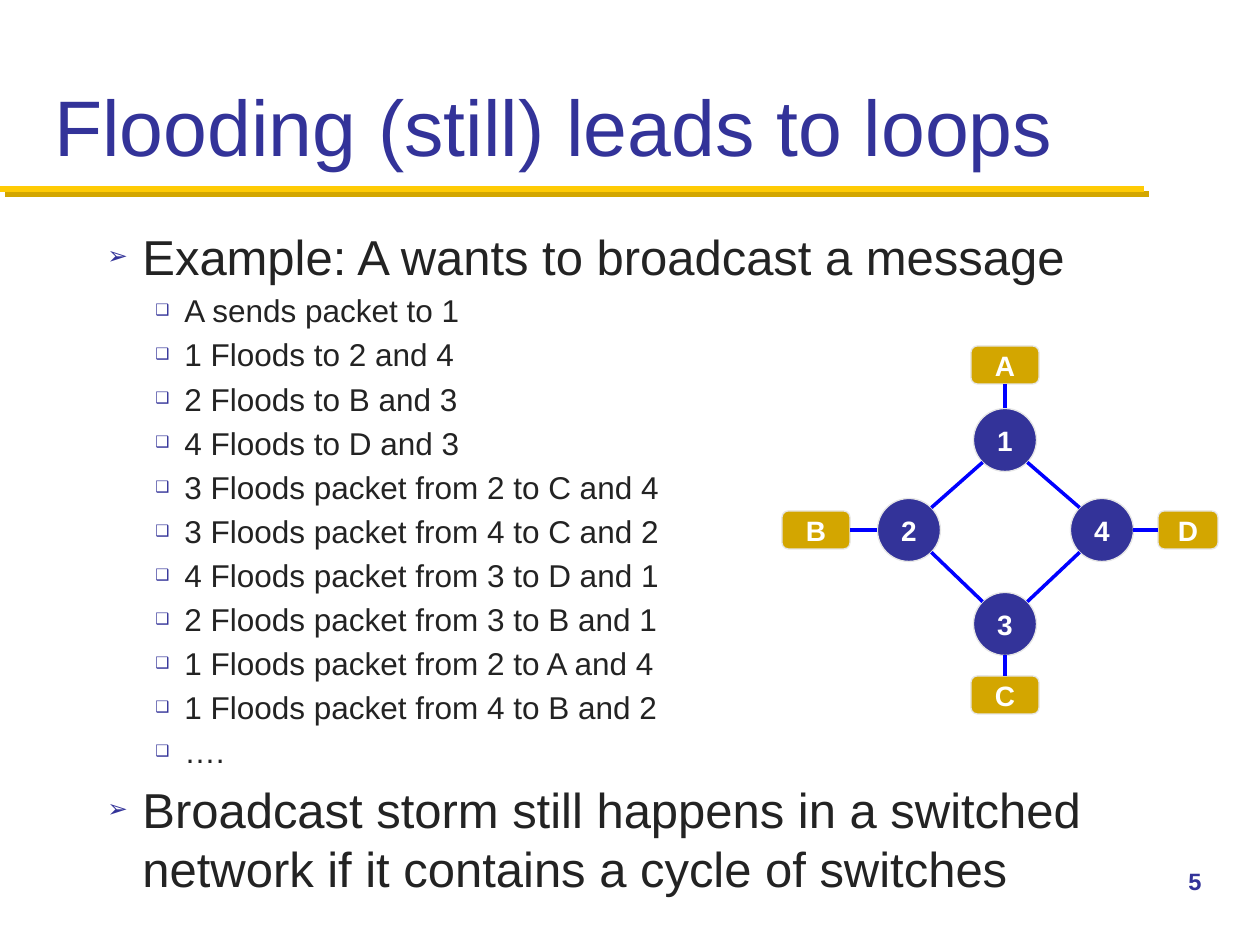
from lxml.etree import SubElement
from pptx import Presentation
from pptx.dml.color import RGBColor
from pptx.enum.shapes import MSO_CONNECTOR, MSO_SHAPE
from pptx.enum.text import MSO_ANCHOR, PP_ALIGN
from pptx.oxml.ns import qn
from pptx.util import Pt

EMU_PER_PX = 914400 / 126
NAVY = RGBColor(0x33, 0x33, 0x99)
GOLD = RGBColor(0xD3, 0xA6, 0x00)
YELLOW = RGBColor(0xFF, 0xCB, 0x05)
BLUE = RGBColor(0x00, 0x00, 0xFF)
INK = RGBColor(0x23, 0x23, 0x23)
PALE = RGBColor(0xE6, 0xE6, 0xE6)
WHITE = RGBColor(0xFF, 0xFF, 0xFF)

# Bullet levels: symbol, text indent and hanging width in px, font size
LEVELS = [("➢", 35, 35, 28), ("❑", 77, 29, 18)]


def px(length):
    return round(length * EMU_PER_PX)


class SlideBuilder:
    font_name = "Arial"

    def __init__(self, slide):
        self.slide = slide

    def style(self, paragraph, size, color, bold=False):
        for run in paragraph.runs:
            run.font.name = self.font_name
            run.font.size = Pt(size)
            run.font.bold = bold
            run.font.color.rgb = color

    def text_box(self, left, top, width, height, anchor=MSO_ANCHOR.TOP):
        box = self.slide.shapes.add_textbox(px(left), px(top), px(width), px(height))
        box.text_frame.word_wrap = True
        box.text_frame.vertical_anchor = anchor
        return box.text_frame

    def label(self, text, bounds, size, bold=False, anchor=MSO_ANCHOR.TOP):
        text_frame = self.text_box(*bounds, anchor)
        text_frame.text = text
        self.style(text_frame.paragraphs[0], size, NAVY, bold)

    def bullets(self, items, bounds):
        text_frame = self.text_box(*bounds)
        text_frame.text = "\n".join(text for level, text in items)
        for index, (level, text) in enumerate(items):
            paragraph = text_frame.paragraphs[index]
            symbol, indent, hanging, size = LEVELS[level]
            paragraph.level = level
            paragraph.space_before = Pt(size * 0.2 if index else 0)
            properties = paragraph._p.get_or_add_pPr()
            properties.set("marL", str(px(indent)))
            properties.set("indent", str(-px(hanging)))
            color = SubElement(properties, qn("a:buClr"))
            SubElement(color, qn("a:srgbClr"), val=str(NAVY))
            SubElement(properties, qn("a:buSzPct"), val="50000")
            SubElement(properties, qn("a:buFont"), typeface=self.font_name)
            SubElement(properties, qn("a:buChar"), char=symbol)
            self.style(paragraph, size, INK)

    def node(self, kind, text, center, width, height, color):
        shape = self.slide.shapes.add_shape(
            kind, px(center[0] - width / 2), px(center[1] - height / 2), px(width), px(height))
        shape.shadow.inherit = False
        shape.fill.solid()
        shape.fill.fore_color.rgb = color
        shape.line.color.rgb = PALE
        shape.line.width = Pt(0.75)
        text_frame = shape.text_frame
        text_frame.margin_left = text_frame.margin_right = 0
        text_frame.margin_top = text_frame.margin_bottom = 0
        text_frame.vertical_anchor = MSO_ANCHOR.MIDDLE
        text_frame.text = text
        text_frame.paragraphs[0].alignment = PP_ALIGN.CENTER
        self.style(text_frame.paragraphs[0], 16, WHITE, bold=True)
        return shape

    def line(self, start, end, color, width, shadow=None):
        connector = self.slide.shapes.add_connector(
            MSO_CONNECTOR.STRAIGHT, px(start[0]), px(start[1]), px(end[0]), px(end[1]))
        connector.line.color.rgb = color
        connector.line.width = Pt(width)
        effects = SubElement(connector._element.spPr, qn("a:effectLst"))
        if shadow is not None:
            outer = SubElement(effects, qn("a:outerShdw"), blurRad="0", dist=str(Pt(4.2)),
                               dir="2700000", algn="ctr", rotWithShape="0")
            SubElement(outer, qn("a:srgbClr"), val=str(shadow))
        return connector


def main():
    presentation = Presentation()
    presentation.slide_width = px(1260)
    presentation.slide_height = px(945)
    builder = SlideBuilder(presentation.slides.add_slide(presentation.slide_layouts[6]))

    # Title, rule and page number
    builder.line((0, 189), (1144, 189), YELLOW, 3.5, shadow=GOLD)
    builder.label("Flooding (still) leads to loops", (42, 20, 1176, 158), 45,
                  anchor=MSO_ANCHOR.BOTTOM)
    builder.label("5", (1176, 861, 84, 63), 13.5, bold=True)

    # Bulleted steps
    steps = [
        "A sends packet to 1",
        "1 Floods to 2 and 4",
        "2 Floods to B and 3",
        "4 Floods to D and 3",
        "3 Floods packet from 2 to C and 4",
        "3 Floods packet from 4 to C and 2",
        "4 Floods packet from 3 to D and 1",
        "2 Floods packet from 3 to B and 1",
        "1 Floods packet from 2 to A and 4",
        "1 Floods packet from 4 to B and 2",
        "….",
    ]
    items = [(0, "Example: A wants to broadcast a message")]
    items += [(1, step) for step in steps]
    items.append((0, "Broadcast storm still happens in a switched network "
                     "if it contains a cycle of switches"))
    builder.bullets(items, (95, 220, 1092, 608))

    # Switches
    diameter = 63
    radius = diameter / 2
    switches = {"1": (1005, 440), "2": (909, 530), "4": (1102, 530), "3": (1005, 624)}
    for name, center in switches.items():
        builder.node(MSO_SHAPE.OVAL, name, center, diameter, diameter, NAVY)

    # Cycle of links, from rim to rim on the diagonals
    diagonal = radius * 0.71
    for first, second in ("12", "23", "34", "41"):
        (x1, y1), (x2, y2) = switches[first], switches[second]
        dx = diagonal if x2 > x1 else -diagonal
        dy = diagonal if y2 > y1 else -diagonal
        builder.line((x1 + dx, y1 + dy), (x2 - dx, y2 - dy), BLUE, 2)

    # Hosts: name, center, width, switch, connection site, direction from switch
    hosts = [
        ("B", (816, 530), 68, "2", 3, (-1, 0)),
        ("A", (1005, 365), 68, "1", 2, (0, -1)),
        ("C", (1005, 695), 68, "3", 0, (0, 1)),
        ("D", (1188, 530), 60, "4", 1, (1, 0)),
    ]
    for name, center, width, switch, site, (dx, dy) in hosts:
        host = builder.node(MSO_SHAPE.ROUNDED_RECTANGLE, name, center, width, 38, GOLD)
        x, y = switches[switch]
        link = builder.line(center, (x + dx * radius, y + dy * radius), BLUE, 2)
        link.begin_connect(host, site)

    presentation.save("out.pptx")


if __name__ == "__main__":
    main()
